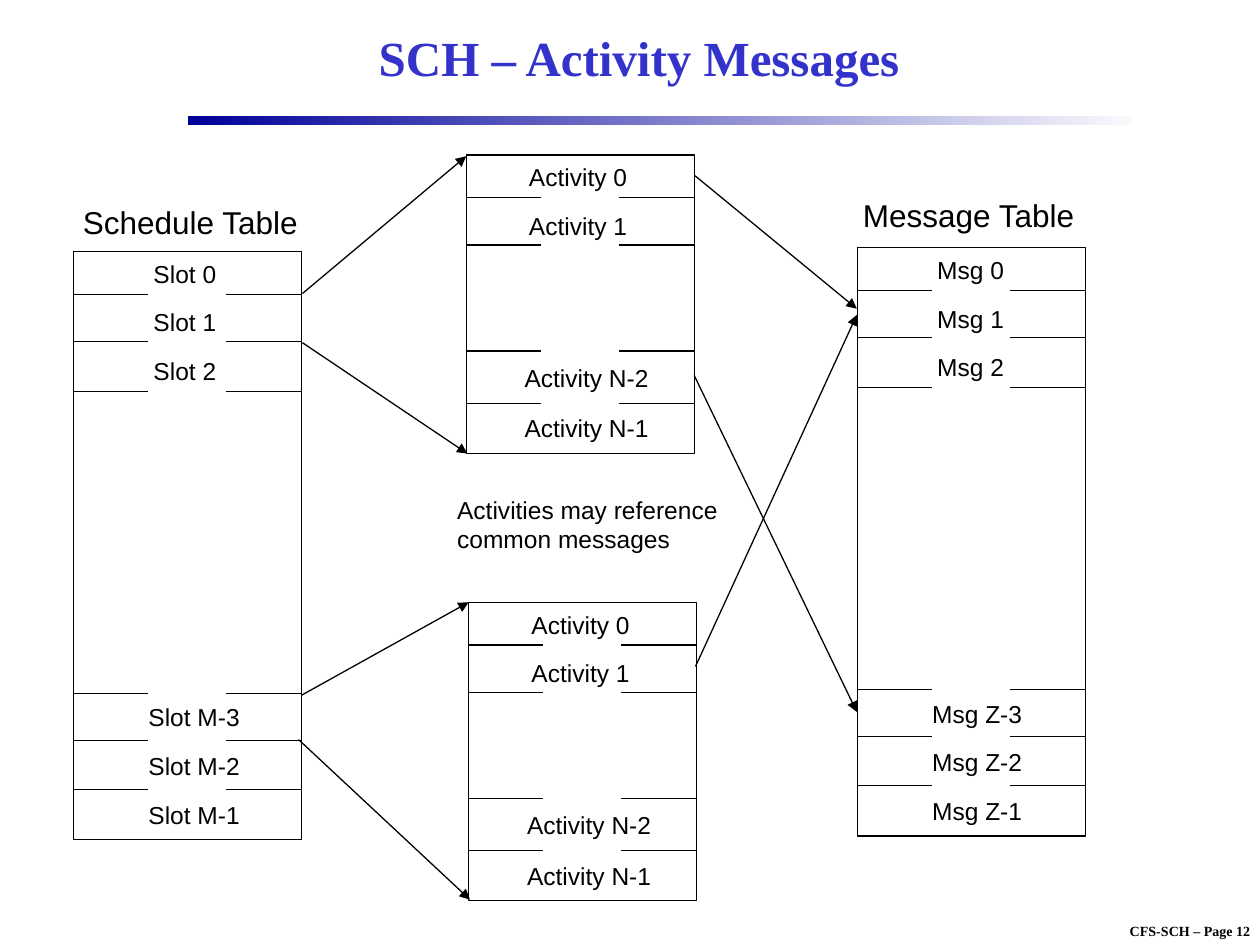
"""Builds a slide linking schedule slots to activities and messages."""
from dataclasses import dataclass

from lxml.etree import SubElement
from pptx import Presentation
from pptx.dml.color import RGBColor
from pptx.enum.shapes import MSO_CONNECTOR as Line, MSO_SHAPE as Shape
from pptx.enum.text import MSO_ANCHOR as Anchor, PP_ALIGN as Align
from pptx.oxml.ns import qn
from pptx.util import Inches, Pt

CELL = Inches(0.1)
BLACK = "000000"
TABLE_W, RULE_W, RIGHT_RULE = 18.1, 5.9, 12.1
ROW_H, LABEL_W, LABEL_H = 3.86, 12.7, 3.4
LONG_H, LONG_RULES = 46.7, (3.4, 7.15, 11.1, 35.1, 38.8, 42.7)
SHORT_H, SHORT_RULES = 23.7, (3.4, 7.15, 15.55, 19.7)


@dataclass(frozen=True)
class LabelBlock:
    left: float
    top: float
    names: tuple[str, ...]
    pitch: float = ROW_H


@dataclass(frozen=True)
class MemoryTable:
    left: float
    top: float
    height: float
    rules: tuple[float, ...]
    blocks: tuple[LabelBlock, ...]


@dataclass(frozen=True)
class Arrow:
    start: tuple[float, float]
    end: tuple[float, float]


def grid(cells: float) -> int:
    return round(cells * CELL)


def color(hex_code: str) -> RGBColor:
    return RGBColor.from_string(hex_code)


def style(p, size: float, font: str = "Arial", hex_code: str = BLACK, bold: bool = False) -> None:
    p.font.size, p.font.name, p.font.bold = Pt(size), font, bold
    p.font.color.rgb = color(hex_code)


def add_text(shapes, left: float, top: float, width: float, height: float,
             lines: tuple[str, ...], size: float = 14, wrap: bool = True):
    s = shapes.add_textbox(*map(grid, (left, top, width, height)))
    tf = s.text_frame
    tf.word_wrap = wrap
    tf.text = "\n".join(lines)
    for p in tf.paragraphs:
        style(p, size)
    return tf


def add_line(shapes, start: tuple[float, float], end: tuple[float, float], arrow: bool = False) -> None:
    s = shapes.add_connector(Line.STRAIGHT, *map(grid, (*start, *end)))
    s.line.color.rgb = color(BLACK)
    s.line.width = Pt(0.75)
    if arrow:
        SubElement(s.line._get_or_add_ln(), qn("a:tailEnd"), type="triangle")
    SubElement(s._element.spPr, qn("a:effectLst"))


def add_table_diagram(shapes, table: MemoryTable) -> None:
    group = shapes.add_group_shape().shapes
    s = group.add_shape(Shape.RECTANGLE, *map(grid, (table.left, table.top, TABLE_W, table.height)))
    s.shadow.inherit = False
    s.fill.background()
    s.line.color.rgb = color(BLACK)
    s.line.width = Pt(0.75)
    for rule in table.rules:
        y = table.top + rule
        for x, end in ((0, RULE_W), (RIGHT_RULE, TABLE_W)):
            add_line(group, (table.left + x, y), (table.left + end, y))
    for block in table.blocks:
        for i, name in enumerate(block.names):
            add_text(group, table.left + block.left, table.top + block.top + i * block.pitch,
                     LABEL_W, LABEL_H, (name,))


def long_table(left: float, top: float, word: str, last: str) -> MemoryTable:
    first_names = tuple(f"{word} {i}" for i in range(3))
    last_names = tuple(f"{word} {last}-{i}" for i in (3, 2, 1))
    return MemoryTable(left, top, LONG_H, LONG_RULES, (
        LabelBlock(5.35, 0.1, first_names),
        LabelBlock(4.95, 35.3, last_names)))


def activity_table(left: float, top: float) -> MemoryTable:
    return MemoryTable(left, top, SHORT_H, SHORT_RULES, (
        LabelBlock(4, 0.1, ("Activity 0", "Activity 1")),
        LabelBlock(3.65, 16, ("Activity N-2", "Activity N-1"), 4.02)))


TABLES = (
    long_table(5.85, 19.95, "Slot", "M"),
    activity_table(37, 12.3),
    activity_table(37.2, 47.8),
    long_table(68.05, 19.65, "Msg", "Z"),
)
ARROWS = (
    Arrow((24, 23.3), (37, 12.4)),
    Arrow((24, 27.2), (37.1, 36)),
    Arrow((23.9, 55.2), (37.2, 47.8)),
    Arrow((23.7, 58.7), (37.3, 71.4)),
    Arrow((55.2, 52.9), (68, 25)),
    Arrow((55.1, 13.9), (68, 24.5)),
    Arrow((55.1, 29.8), (68, 56.5)),
)


def add_header(slide) -> None:
    s = slide.shapes.add_shape(Shape.RECTANGLE, *map(grid, (14.9, 9.2, 74.9, 0.7)))
    s.shadow.inherit = False
    s.line.fill.background()
    s.fill.gradient()
    s.fill.gradient_angle = 0
    for stop, hex_code, position in zip(s.fill.gradient_stops, ("000099", "F9F9FD"), (0, 1)):
        stop.color.rgb = color(hex_code)
        stop.position = position
    title = slide.shapes.title
    title.left, title.top, title.width, title.height = map(grid, (15.8, 0.8, 70.8, 7.5))
    tf = title.text_frame
    tf.text = "SCH – Activity Messages "
    tf.vertical_anchor = Anchor.MIDDLE
    p = tf.paragraphs[0]
    p.alignment = Align.CENTER
    style(p, 28, "Times New Roman", "3333CC", True)


def add_footer(shapes) -> None:
    tf = add_text(shapes, 86.7, 72.7, 15.5, 2.3, ("CFS-SCH – Page 12",), wrap=False)
    p = tf.paragraphs[0]
    p.alignment = Align.CENTER
    style(p, 8, "Times New Roman", bold=True)


def main() -> None:
    prs = Presentation()
    prs.slide_width, prs.slide_height = grid(100), grid(75)
    slide = prs.slides.add_slide(prs.slide_layouts[5])
    shapes = slide.shapes
    add_footer(shapes)
    add_header(slide)
    for table in TABLES:
        add_table_diagram(shapes, table)
    add_text(shapes, 5.6, 15.6, 19.4, 4, ("Schedule Table",), 18, wrap=False)
    add_text(shapes, 67.5, 15.1, 19.1, 4, ("Message Table",), 18, wrap=False)
    add_text(shapes, 35.3, 38.8, 22.7, 5.7, ("Activities may reference", "common messages"))
    for arrow in ARROWS:
        add_line(shapes, arrow.start, arrow.end, arrow=True)
    prs.save("out.pptx")


if __name__ == "__main__":
    main()
